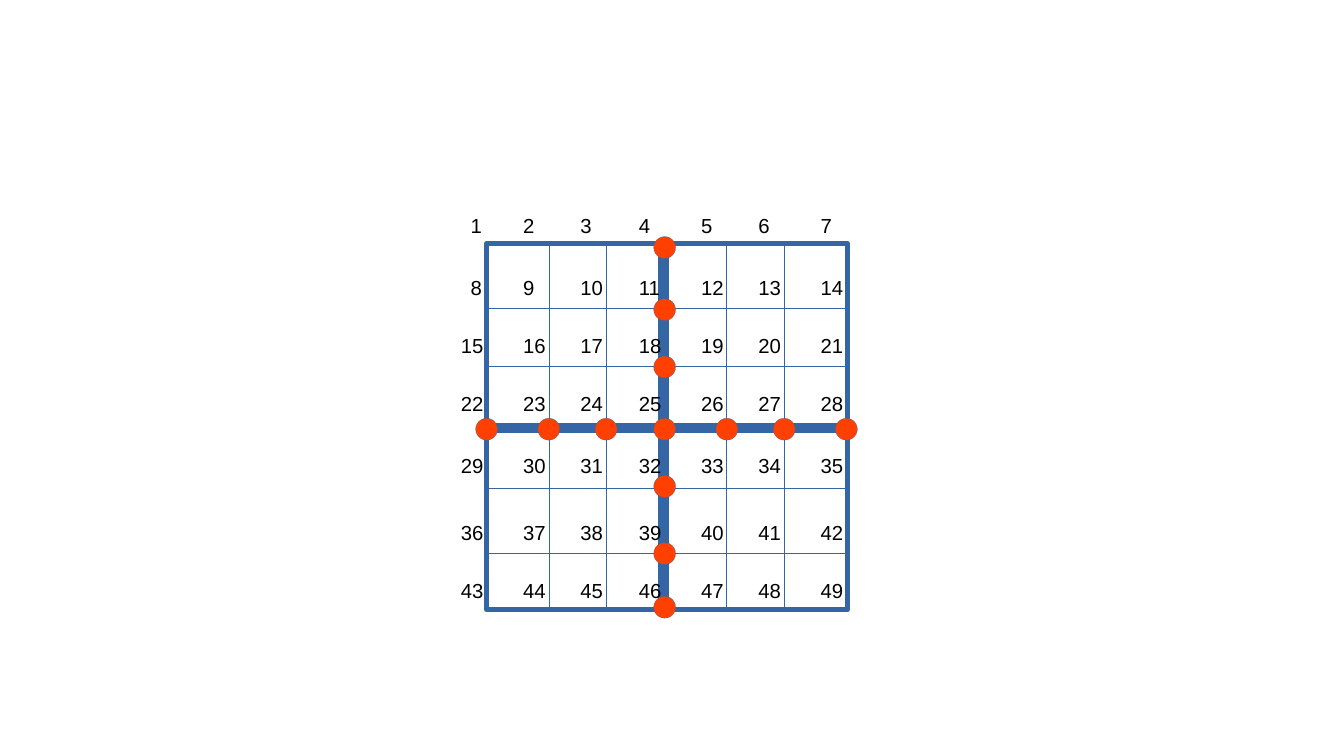
from dataclasses import dataclass

from lxml import etree
from pptx import Presentation
from pptx.dml.color import RGBColor
from pptx.enum.shapes import MSO_CONNECTOR, MSO_SHAPE
from pptx.enum.text import MSO_ANCHOR, PP_ALIGN
from pptx.oxml.ns import qn
from pptx.util import Inches, Pt

RECTANGLE, OVAL = MSO_SHAPE.RECTANGLE, MSO_SHAPE.OVAL
STRAIGHT = MSO_CONNECTOR.STRAIGHT
LEFT, TOP = PP_ALIGN.LEFT, MSO_ANCHOR.TOP

# Positions in inches, one entry for each column or row of the mesh
COLUMN_LINES = [4.5, 4.97, 5.44, 5.95, 6.43]
ROW_LINES = [2.53, 3, 3.51, 4, 4.54]
COLUMN_NODES = [3.99, 4.5, 4.97, 5.45, 5.96, 6.43, 6.94]
ROW_NODES = [2.03, 2.54, 3.01, 3.52, 3.99, 4.54, 4.98]
LABEL_TOPS = [1.7, 2.21, 2.68, 3.16, 3.67, 4.22, 4.69]
MIDDLE_LINE, MIDDLE_NODE = 2, 3

FRAME_LEFT, FRAME_TOP, FRAME_WIDTH, FRAME_HEIGHT = 3.99, 2, 2.96, 3
ROW_LINE_RIGHT = 6.97
DOT_SIZE = 0.18
LABEL_OFFSET, LABEL_HEIGHT = 0.31, 0.29
ONE_DIGIT_WIDTH, TWO_DIGIT_WIDTH, ONE_DIGIT_INDENT = 0.29, 0.38, 0.08


@dataclass(frozen=True)
class Theme:
    line: RGBColor = RGBColor(0x34, 0x65, 0xA4)
    dot: RGBColor = RGBColor(0xFF, 0x40, 0x00)
    text: RGBColor = RGBColor(0, 0, 0)
    font: str = "Arial"
    label_size: int = 12
    hairline: float = 0.1
    frame_width: int = 3
    axis_width: int = 6


THEME = Theme()


def style_line(line, width):
    line.color.rgb = THEME.line
    line.width = Pt(width)


def add_outlined(slide, kind, left, top, width, height, line_width, fill=None):
    shape = slide.shapes.add_shape(kind, *map(Inches, (left, top, width, height)))
    shape.shadow.inherit = False
    if fill is None:
        shape.fill.background()
    else:
        shape.fill.solid()
        shape.fill.fore_color.rgb = fill
    style_line(shape.line, line_width)


def add_line(slide, start, end, width):
    connector = slide.shapes.add_connector(STRAIGHT, *map(Inches, (*start, *end)))
    style_line(connector.line, width)
    etree.SubElement(connector._element.spPr, qn("a:effectLst"))


def add_text(slide, text, left, top, width, height, size, color, align=LEFT):
    box = slide.shapes.add_textbox(*map(Inches, (left, top, width, height)))
    frame = box.text_frame
    frame.word_wrap = False
    frame.margin_right = 0  # keeps two digits on one line
    frame.vertical_anchor = TOP
    paragraph = frame.paragraphs[0]
    paragraph.alignment = align
    run = paragraph.add_run()
    run.text = text
    run.font.name = THEME.font
    run.font.size = Pt(size)
    run.font.color.rgb = color


def add_mesh(slide):
    add_outlined(slide, RECTANGLE, FRAME_LEFT, FRAME_TOP, FRAME_WIDTH,
                 FRAME_HEIGHT, THEME.frame_width)
    bottom = FRAME_TOP + FRAME_HEIGHT
    for index, (x, y) in enumerate(zip(COLUMN_LINES, ROW_LINES)):
        width = THEME.axis_width if index == MIDDLE_LINE else THEME.hairline
        add_line(slide, (x, FRAME_TOP), (x, bottom), width)
        add_line(slide, (FRAME_LEFT, y), (ROW_LINE_RIGHT, y), width)


def add_dots(slide):
    """Mark every node on the two middle axes, the crossing only once."""
    middle_x, middle_y = COLUMN_NODES[MIDDLE_NODE], ROW_NODES[MIDDLE_NODE]
    centres = [(middle_x, y) for y in ROW_NODES]
    centres += [(x, middle_y) for x in COLUMN_NODES if x != middle_x]
    for x, y in centres:
        add_outlined(slide, OVAL, x - DOT_SIZE / 2, y - DOT_SIZE / 2,
                     DOT_SIZE, DOT_SIZE, THEME.hairline, THEME.dot)


def add_labels(slide):
    """Number the nodes row by row."""
    for row, top in enumerate(LABEL_TOPS):
        for column, x in enumerate(COLUMN_NODES):
            number = row * len(COLUMN_NODES) + column + 1
            one_digit = number < 10
            left = x - LABEL_OFFSET
            if one_digit and column == 0:
                left += ONE_DIGIT_INDENT
            width = ONE_DIGIT_WIDTH if one_digit else TWO_DIGIT_WIDTH
            add_text(slide, str(number), left, top, width, LABEL_HEIGHT,
                     size=THEME.label_size, color=THEME.text)


def main():
    presentation = Presentation()
    presentation.slide_width = Inches(11.02)
    presentation.slide_height = Inches(6.2)
    slide = presentation.slides.add_slide(presentation.slide_layouts[6])
    add_mesh(slide)
    add_dots(slide)
    add_labels(slide)
    presentation.save("out.pptx")


if __name__ == "__main__":
    main()
